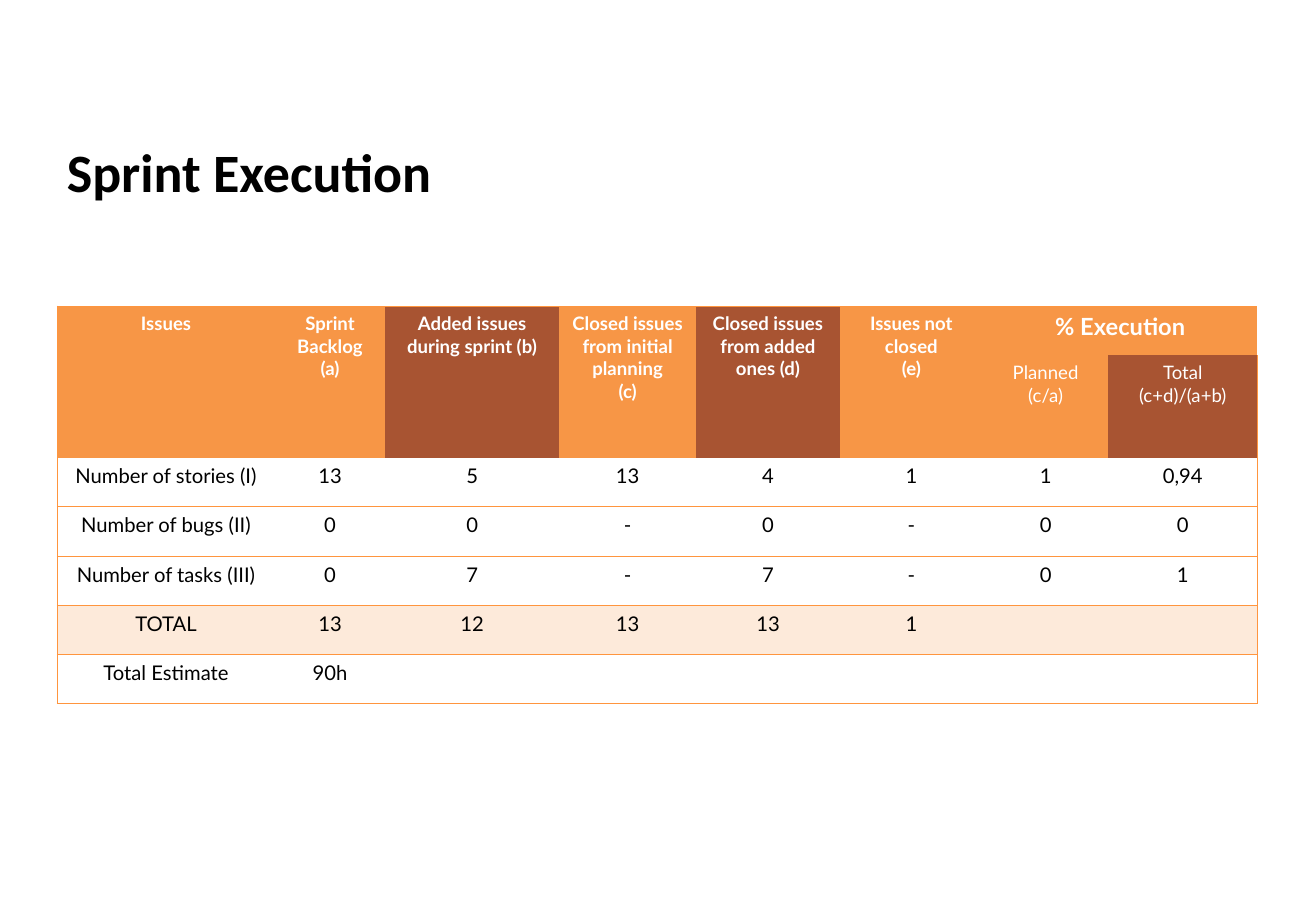
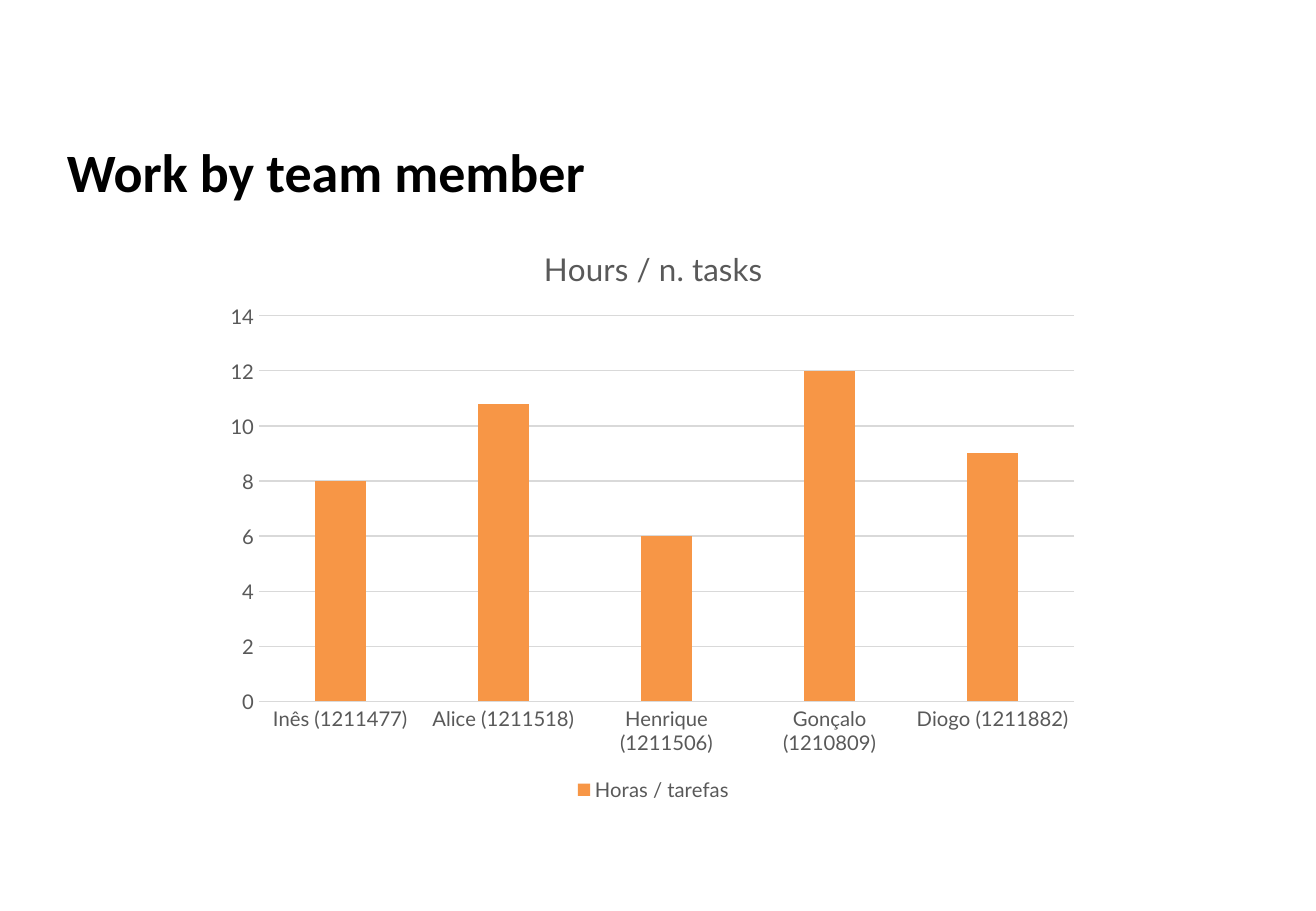
from lxml.etree import SubElement
from pptx import Presentation
from pptx.chart.data import CategoryChartData
from pptx.dml.color import RGBColor as RGB
from pptx.enum.chart import XL_CHART_TYPE as ChartType, XL_LEGEND_POSITION as LegendPosition
from pptx.enum.chart import XL_TICK_MARK as TickMark
from pptx.enum.text import MSO_ANCHOR as Anchor, MSO_AUTO_SIZE as AutoSize, PP_ALIGN as Align
from pptx.oxml import parse_xml
from pptx.oxml.ns import nsdecls, qn
from pptx.util import Pt


class Theme:
    black = RGB.from_string("000000")
    white = RGB.from_string("FFFFFF")
    orange = RGB.from_string("F79646")
    rust = RGB.from_string("A85432")
    cream = RGB.from_string("FDEADA")
    grey = RGB.from_string("595959")
    rule = RGB.from_string("D9D9D9")
    border = "FF953E"
    line_width = Pt(0.75)
    title = {"name": "Calibri", "size": Pt(32), "bold": True}
    header = {"name": "Lato", "size": Pt(11), "bold": True}
    header_wide = {**header, "size": Pt(14)}
    header_sub = {**header, "bold": False}
    body = {"name": "Lato", "size": Pt(12), "bold": False}
    chart_title = {**body, "size": Pt(18.6)}


def style(font, values, color):
    for key, value in values.items():
        setattr(font, key, value)
    font.color.rgb = color


def fill_cell(cell, text, values, color, background, edges):
    cell.text = text
    for paragraph in cell.text_frame.paragraphs:
        paragraph.alignment = Align.CENTER
        for run in paragraph.runs:
            style(run.font, values, color)
    properties = cell._tc.get_or_add_tcPr()
    for edge, visible in edges.items():
        line = SubElement(properties, qn(f"a:{edge}"), w=str(Theme.line_width))
        if visible:
            SubElement(SubElement(line, qn("a:solidFill")), qn("a:srgbClr"), val=Theme.border)
        else:
            SubElement(line, qn("a:noFill"))
    if background is None:
        cell.fill.background()
    else:
        cell.fill.solid()
        cell.fill.fore_color.rgb = background


deck = Presentation()
deck.slide_width, deck.slide_height = Pt(780), Pt(540)
title_only = deck.slide_layouts[5]

slides = []
for heading in ("Sprint Execution", "Work by team member"):
    slide = deck.slides.add_slide(title_only)
    title = slide.shapes.title
    title.left, title.top, title.width, title.height = Pt(32.4), Pt(78.5), Pt(712), Pt(45.4)
    frame = title.text_frame
    frame.text = heading
    frame.auto_size = AutoSize.NONE
    frame.vertical_anchor = Anchor.MIDDLE
    frame.paragraphs[0].alignment = Align.LEFT
    style(frame.paragraphs[0].runs[0].font, Theme.title, Theme.black)
    slides.append(slide)
sprint_slide, work_slide = slides

column_widths = [128.9, 65.5, 103, 81.4, 85, 85, 74.2, 88.4]
row_heights = [29.2, 60.2] + [29.2] * 5
headers = [
    ["Issues", "Sprint Backlog\n(a)", "Added issues during sprint (b)",
     "Closed issues from initial planning\n(c)", "Closed issues from added ones (d)",
     "Issues not closed\n(e)", "% Execution", ""],
    ["", "", "", "", "", "", "Planned\n(c/a)", "Total\n(c+d)/(a+b)"],
]
issue_rows = [
    ["Number of stories (I)", "13", "5", "13", "4", "1", "1", "0,94"],
    ["Number of bugs (II)", "0", "0", "-", "0", "-", "0", "0"],
    ["Number of tasks (III)", "0", "7", "-", "7", "-", "0", "1"],
    ["TOTAL", "13", "12", "13", "13", "1", "", ""],
    ["Total Estimate", "90h", "", "", "", "", "", ""],
]
rust_cells = {(0, 2), (1, 2), (0, 4), (1, 4), (1, 7)}

issues = sprint_slide.shapes.add_table(
    len(row_heights), len(column_widths), Pt(34), Pt(181.5),
    Pt(sum(column_widths)), Pt(sum(row_heights))).table
issues.first_row = issues.horz_banding = False
for column, width in zip(issues.columns, column_widths):
    column.width = Pt(width)
for row, height in zip(issues.rows, row_heights):
    row.height = Pt(height)

last_column = len(column_widths) - 1
for r, texts in enumerate(headers + issue_rows):
    for c, text in enumerate(texts):
        if r >= len(headers):
            values, color = Theme.body, Theme.black
            background = Theme.cream if texts[0] == "TOTAL" else None
        else:
            color = Theme.white
            background = Theme.rust if (r, c) in rust_cells else Theme.orange
            values = Theme.header_sub if r else Theme.header_wide if c == 6 else Theme.header
        edges = {"lnL": c == 0, "lnR": c == last_column, "lnT": r == 0 or r > 2, "lnB": r >= 2}
        fill_cell(issues.cell(r, c), text, values, color, background, edges)
for c in range(6):
    issues.cell(0, c).merge(issues.cell(1, c))
issues.cell(0, 6).merge(issues.cell(0, last_column))

hours = CategoryChartData()
hours.categories = ["Inês (1211477)", "Alice (1211518)", "Henrique (1211506)",
                    "Gonçalo (1210809)", "Diogo (1211882)"]
hours.add_series("Horas / tarefas", [8, 10.8, 6, 12, 9])
chart = work_slide.shapes.add_chart(
    ChartType.COLUMN_CLUSTERED, Pt(127.4), Pt(131.8), Pt(519.8), Pt(346.3), hours).chart
style(chart.font, Theme.body, Theme.grey)

chart.has_title = True
chart.chart_title.include_in_layout = False
chart.chart_title.text_frame.text = "Hours / n. tasks"
style(chart.chart_title.text_frame.paragraphs[0].runs[0].font, Theme.chart_title, Theme.grey)

chart.has_legend = True
chart.legend.position = LegendPosition.BOTTOM
chart.legend.include_in_layout = False
style(chart.legend.font, Theme.body, Theme.grey)

names, scale = chart.category_axis, chart.value_axis
for axis in (names, scale):
    axis.major_tick_mark = axis.minor_tick_mark = TickMark.NONE
    style(axis.tick_labels.font, Theme.body, Theme.grey)
scale.minimum_scale, scale.maximum_scale, scale.major_unit = 0, 14, 2
scale.format.line.fill.background()
scale.has_major_gridlines = True
for line in (names.format.line, scale.major_gridlines.format.line):
    line.color.rgb = Theme.rule
    line.width = Theme.line_width

bars = chart.plots[0]
bars.gap_width, bars.overlap, bars.vary_by_categories = 219, -27, False
bars.series[0].format.fill.solid()
bars.series[0].format.fill.fore_color.rgb = Theme.orange

plot_area = chart._chartSpace.find(".//" + qn("c:plotArea"))
for automatic in plot_area.findall(qn("c:layout")):
    plot_area.remove(automatic)
plot_area.insert(0, parse_xml(
    f'<c:layout {nsdecls("c")}><c:manualLayout><c:layoutTarget val="inner"/>'
    '<c:xMode val="edge"/><c:yMode val="edge"/><c:x val="0.05"/><c:y val="0.16"/>'
    '<c:w val="0.93"/><c:h val="0.66"/></c:manualLayout></c:layout>'))

deck.save("out.pptx")
